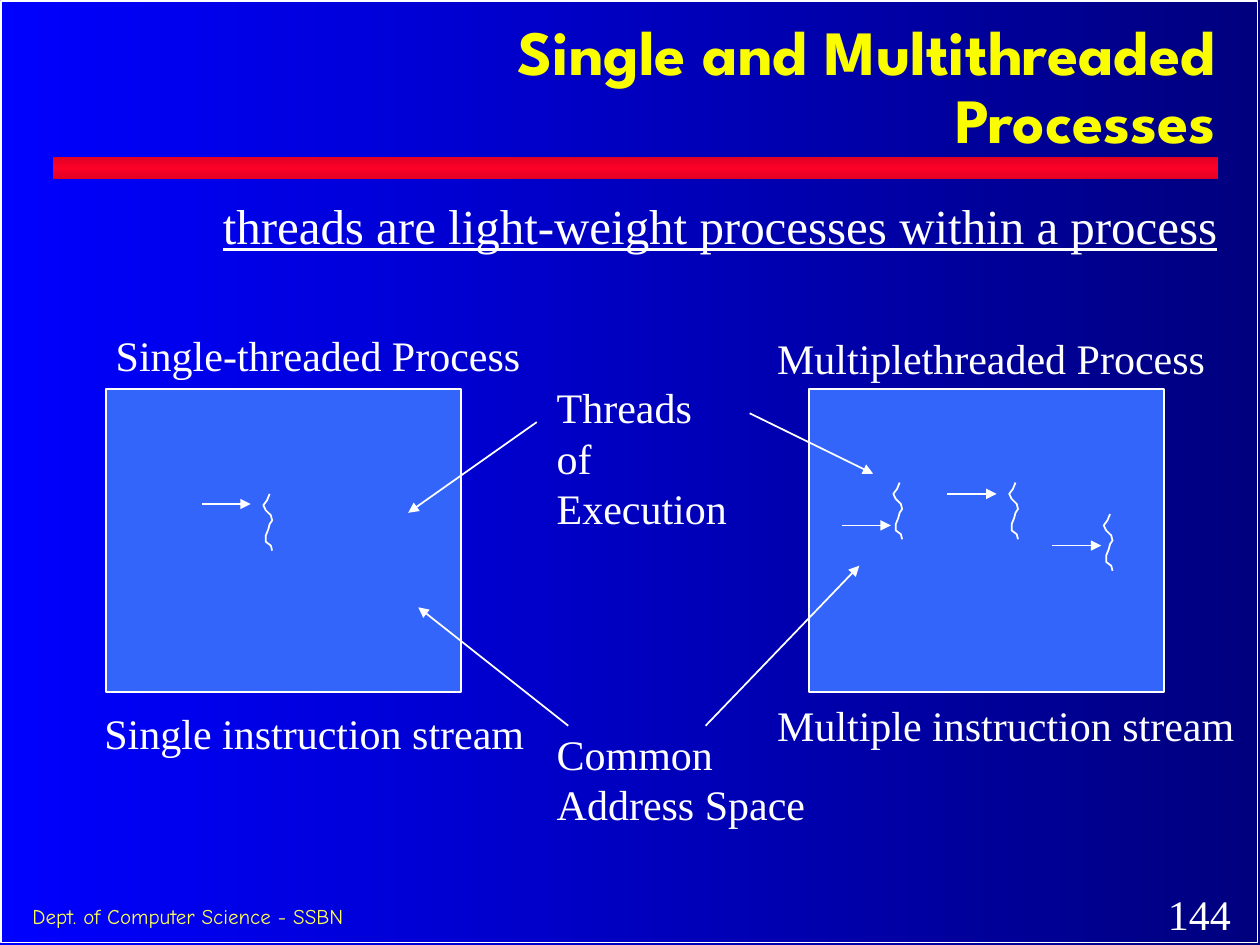
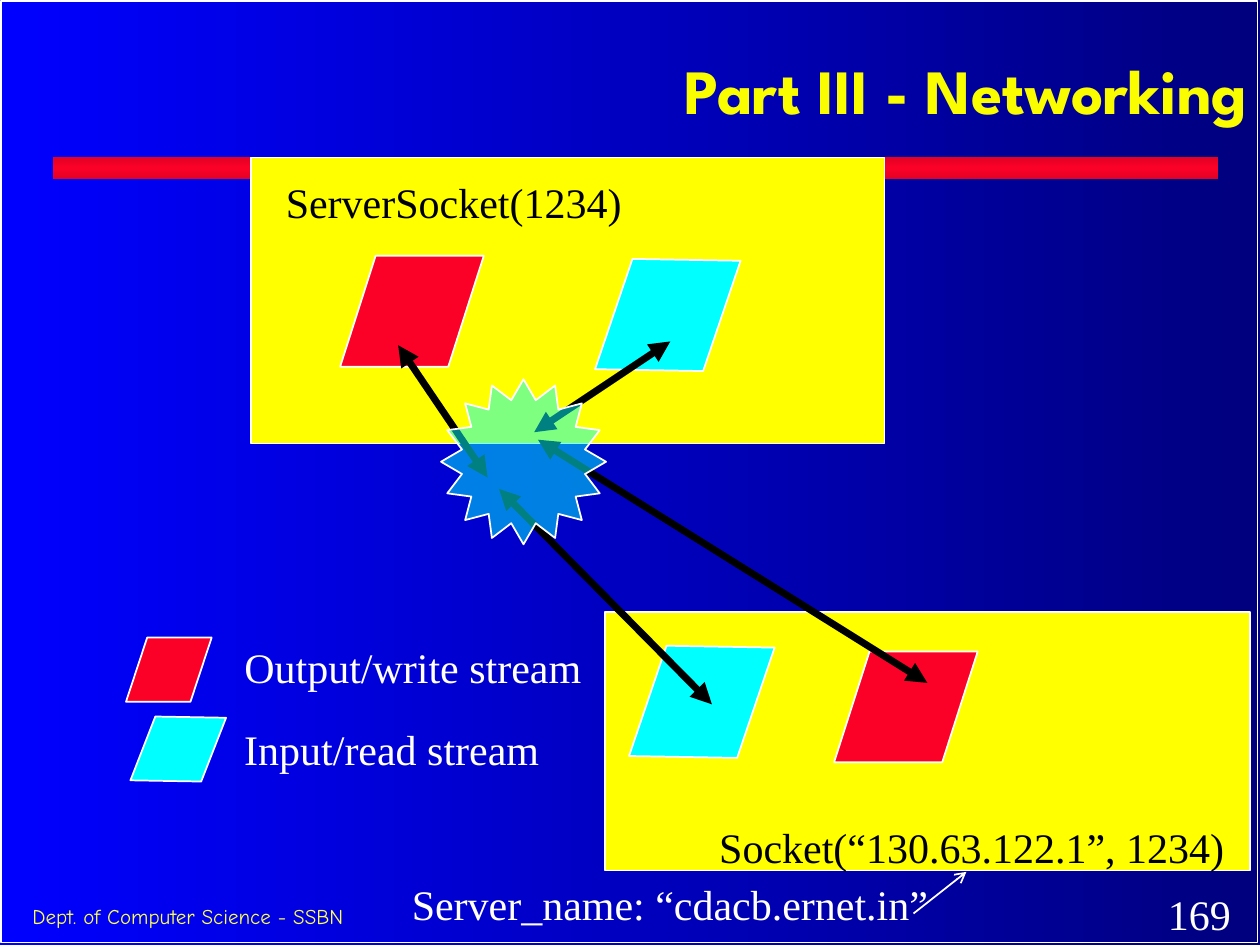
from copy import deepcopy

from pptx import Presentation
from pptx import util as u
from pptx.dml.color import RGBColor
from pptx.enum import shapes, text
from pptx.oxml.ns import qn
from pptx.oxml.xmlchemy import OxmlElement

WHITE, BLACK = "FFFFFF", "000000"
RED, CYAN, YELLOW = "FC0128", "00FFFF", "FFFF00"
PROCESS_BLUE, TITLE_YELLOW, FOOTER_YELLOW = "3365FB", "FAFD00", "FEFF56"
BODY_FONT, TITLE_FONT, FOOTER_FONT = "Times New Roman", "League Spartan", "Comic Neue"

# A thread's wavy outline, relative to its top left corner
WAVE = [(0.05, 0), (0.03, 0.05), (0, 0.09), (0.02, 0.13), (0.06, 0.17), (0.07, 0.21),
        (0.05, 0.24), (0.04, 0.28), (0.02, 0.33), (0.02, 0.38), (0.06, 0.41), (0.07, 0.45)]


def rgb(value):
    return RGBColor.from_string(value)


def inches(*values):
    return [u.Inches(value) for value in values]


class Deck:
    """Holds the shared style and the slide being built."""

    def __init__(self):
        self.presentation = Presentation()
        self.presentation.slide_width, self.presentation.slide_height = inches(10, 7.5)
        self.slide = None

    def new_slide(self, title, title_box, number, title_spacing):
        self.slide = self.presentation.slides.add_slide(self.presentation.slide_layouts[6])
        self.gradient(self.slide.background.fill, ["0000FF", "00007F"], 0)
        # Frame and title rule
        self.shape((0.01, 0.01, 9.97, 7.47))
        rule = self.shape((0.42, 1.25, 9.25, 0.17), line=None)
        rule.fill.gradient()
        stops = rule._element.spPr.find(".//" + qn("a:gsLst"))
        stops.append(deepcopy(stops[-1]))
        self.gradient(rule.fill, ["E20124", RED, "E20124"], 90)
        # Footer and title
        self.text((9.17, 7, 0.75, 0.5), str(number), wrap=True)
        self.text((0.16, 7.14, 4.84, 0.29), "Dept. of Computer Science - SSBN", size=12,
                  font=FOOTER_FONT, color=FOOTER_YELLOW, wrap=True, spacing=0.93)
        heading = self.text(title_box, title, size=36, font=TITLE_FONT, color=TITLE_YELLOW,
                            wrap=True, spacing=title_spacing, grow=False)
        heading.vertical_anchor = text.MSO_ANCHOR.MIDDLE
        heading.paragraphs[0].alignment = text.PP_ALIGN.RIGHT
        heading.paragraphs[0].font.bold = True

    def gradient(self, fill, colors, angle):
        if fill.type is None or not hasattr(fill, "_fill") or fill.type != 3:
            fill.gradient()
        fill.gradient_angle = angle
        for index, (stop, color) in enumerate(zip(fill.gradient_stops, colors)):
            stop.color.rgb = rgb(color)
            stop.position = index / (len(colors) - 1)

    def paint(self, shape, fill, line):
        shape.shadow.inherit = False
        if fill:
            shape.fill.solid()
            shape.fill.fore_color.rgb = rgb(fill)
        else:
            shape.fill.background()
        if line:
            shape.line.color.rgb = rgb(line)
            shape.line.width = u.Pt(1)
        else:
            shape.line.fill.background()
        return shape

    def shape(self, box, fill=None, line=WHITE, kind=shapes.MSO_SHAPE.RECTANGLE, adjust=None):
        shape = self.slide.shapes.add_shape(kind, *inches(*box))
        if adjust is not None:
            shape.adjustments[0] = adjust
        return self.paint(shape, fill, line)

    def stream(self, box, color, adjust=0.32):
        """A parallelogram: red writes, cyan reads and leans one degree."""
        shape = self.shape(box, color, kind=shapes.MSO_SHAPE.PARALLELOGRAM, adjust=adjust)
        shape.rotation = 1 if color == CYAN else 0

    def text(self, box, content, size=24, font=BODY_FONT, color=WHITE, wrap=False,
             spacing=None, underline=None, grow=True):
        frame = self.slide.shapes.add_textbox(*inches(*box)).text_frame
        frame.word_wrap = wrap
        frame.auto_size = (text.MSO_AUTO_SIZE.SHAPE_TO_FIT_TEXT if grow
                           else text.MSO_AUTO_SIZE.NONE)
        frame.text = content
        for paragraph in frame.paragraphs:
            paragraph.line_spacing = spacing
            paragraph.font.size = u.Pt(size)
            paragraph.font.name = font
            paragraph.font.underline = underline
            paragraph.font.color.rgb = rgb(color)
        return frame

    def arrow(self, start, end, color=WHITE, width=1, head=None, tail="triangle"):
        connector = self.slide.shapes.add_connector(
            shapes.MSO_CONNECTOR.STRAIGHT, *inches(*start, *end))
        connector.line.color.rgb = rgb(color)
        connector.line.width = u.Pt(width)
        for tag, kind in (("a:headEnd", head), ("a:tailEnd", tail)):
            if kind:
                tip = OxmlElement(tag)
                tip.set("type", kind)
                connector.line._get_or_add_ln().append(tip)
        connector._element.spPr.append(OxmlElement("a:effectLst"))

    def thread(self, left, top, arrow_left, arrow_top):
        points = [inches(left + x, top + y) for x, y in WAVE]
        builder = self.slide.shapes.build_freeform(*points[0])
        builder.add_line_segments(points[1:], close=False)
        self.paint(builder.convert_to_shape(), None, WHITE)
        self.arrow((arrow_left, arrow_top), (arrow_left + 0.39, arrow_top))


def threads_slide(deck):
    deck.new_slide("Single and Multithreaded Processes", (1.92, 0.08, 7.83, 1.25), 144, 0.9)
    # Processes with their threads
    for left in (0.84, 6.42):
        deck.shape((left, 3.09, 2.82, 2.4), PROCESS_BLUE)
    for place in ((2.09, 3.92, 1.6, 4), (8.01, 3.83, 7.52, 3.92),
                  (8.76, 4.08, 8.35, 4.33), (7.09, 3.83, 6.68, 4.17)):
        deck.thread(*place)
    # Labels
    deck.text((0.82, 2.57, 3.41, 0.5), "Single-threaded Process")
    deck.text((0.73, 5.57, 4.26, 0.5), "Single instruction stream", wrap=True)
    deck.text((6.07, 5.5, 3.85, 0.5), "Multiple instruction stream", wrap=True)
    deck.text((6.07, 2.59, 3.6, 0.5), "Multiplethreaded Process", wrap=True)
    deck.text((4.32, 2.98, 1.63, 0.9), "Threads of\nExecution")
    deck.text((4.32, 5.73, 2.17, 0.9), "Common\nAddress Space")
    # Pointers from the labels into the processes
    for start, end in (((4.51, 5.76), (3.32, 4.82)), ((4.26, 3.35), (3.24, 4.07)),
                       ((5.6, 5.76), (6.82, 4.49)), ((5.95, 3.28), (6.93, 3.76))):
        deck.arrow(start, end)
    deck.text((1.67, 1.5, 8.1, 0.57), "threads are light-weight processes within a process",
              size=28, underline=True)


def networking_slide(deck):
    deck.new_slide("Part III - Networking", (1.5, 0.39, 8.5, 0.71), 169, 0.89)
    # Server and client
    deck.shape((1.99, 1.25, 5.03, 2.27), YELLOW)
    deck.shape((4.8, 4.86, 5.12, 2.05), YELLOW)
    deck.text((2.17, 1.35, 2.87, 0.5), "ServerSocket(1234)", color=BLACK)
    deck.text((5.61, 6.47, 4.21, 0.5), "Socket(“130.63.122.1”, 1234)", color=BLACK)
    # Streams and the links between them
    for left, top, color in ((2.7, 2.03, RED), (4.73, 2.06, CYAN),
                             (6.62, 5.17, RED), (5, 5.13, CYAN)):
        deck.stream((left, top, 1.14, 0.88), color)
    for start, end in (((3.96, 3.88), (5.65, 5.59)), ((7.36, 5.42), (4.27, 3.49)),
                       ((3.16, 2.74), (3.87, 3.79)), ((4.24, 3.43), (5.32, 2.71))):
        deck.arrow(start, end, BLACK, 4, head="triangle")
    # Legend
    deck.stream((1, 5.06, 0.68, 0.51), RED, 0.33)
    deck.stream((1.04, 5.69, 0.75, 0.51), CYAN, 0.37)
    deck.text((1.84, 5.04, 2.88, 0.5), "Output/write stream")
    deck.text((1.84, 5.69, 2.54, 0.5), "Input/read stream")
    # Half transparent connection point
    burst = deck.shape((3.5, 3.01, 1.31, 1.31), CYAN,
                       kind=shapes.MSO_SHAPE.STAR_16_POINT, adjust=0.38)
    alpha = OxmlElement("a:alpha")
    alpha.set("val", "50000")
    burst._element.spPr.find(qn("a:solidFill"))[0].append(alpha)
    # Server name
    deck.arrow((7.25, 7.25), (7.67, 6.92), tail="arrow")
    deck.text((3.17, 6.92, 4.3, 0.5), "Server_name: “cdacb.ernet.in”")


def main():
    deck = Deck()
    threads_slide(deck)
    networking_slide(deck)
    deck.presentation.save("out.pptx")


if __name__ == "__main__":
    main()
